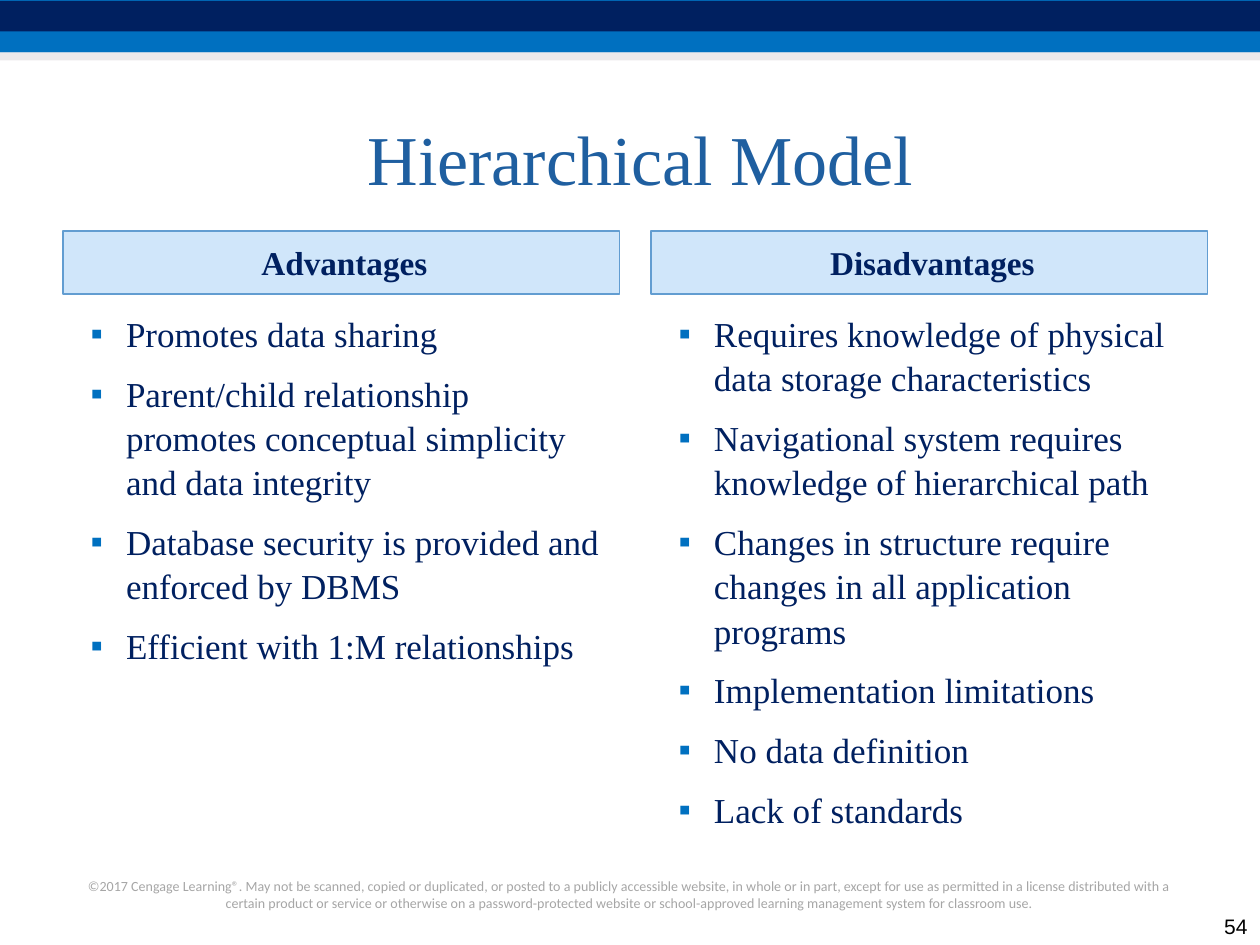
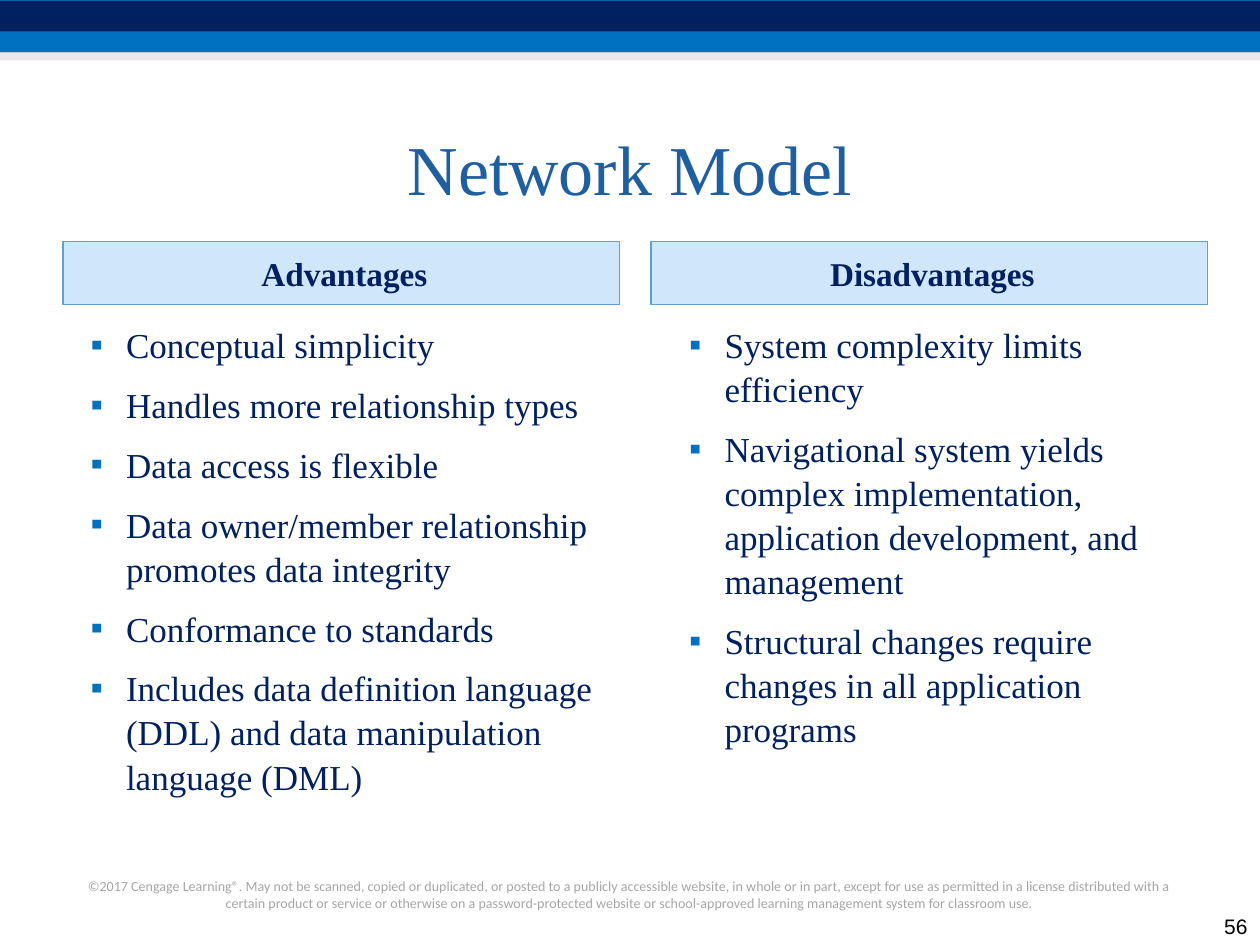
import pptx
import pptx.util
import pptx.dml.color
import pptx.enum.shapes
import pptx.enum.text
import lxml.etree

Pt = pptx.util.Pt
ALIGN = pptx.enum.text.PP_ALIGN
ANCHOR = pptx.enum.text.MSO_ANCHOR
NS = "{http://schemas.openxmlformats.org/drawingml/2006/main}"

NAVY, BLUE, TITLE = "002060", "0070C0", "1F5FA0"
SERIF = "Times New Roman"
LEGAL = ("©2017 Cengage Learning®. May not be scanned, copied or duplicated, or posted to a "
         "publicly accessible website, in whole or in part, except for use as permitted in a "
         "license distributed with a certain product or service or otherwise on a "
         "password-protected website or school-approved learning management system for "
         "classroom use.")

deck = pptx.Presentation()
deck.slide_width = pptx.util.Inches(10)
deck.slide_height = pptx.util.Inches(7.5)
CELL = deck.slide_width / 120  # square grid: 120 columns by 90 rows


def paint(fmt, color, alpha=100):
    """Give a fill a solid colour; alpha is its opacity in percent."""
    fmt.solid()
    fmt.fore_color.rgb = pptx.dml.color.RGBColor.from_string(color)
    if alpha < 100:
        tone = fmt._xPr.find(f"{NS}solidFill/{NS}srgbClr")
        lxml.etree.SubElement(tone, NS + "alpha", val=str(alpha * 1000))


def write(shape, grid, lines, size, color, font=SERIF, align=ALIGN.CENTER,
          anchor=ANCHOR.MIDDLE, bold=False, bullet=False):
    """Move a shape to its grid cells and fill it with one paragraph per line."""
    shape.left, shape.top, shape.width, shape.height = [round(n * CELL) for n in grid]
    frame = shape.text_frame
    frame.word_wrap = True
    frame.auto_size = pptx.enum.text.MSO_AUTO_SIZE.NONE
    frame.vertical_anchor = anchor
    for i, line in enumerate(lines):
        para = frame.paragraphs[0] if i == 0 else frame.add_paragraph()
        para.alignment = align
        para.space_before = Pt(3 if i else 0)
        if bullet:
            para.line_spacing = 1.05
            para.space_after = Pt(6)
            props = para._p.get_or_add_pPr()
            props.set("marL", str(pptx.util.Inches(0.4)))
            props.set("indent", str(pptx.util.Inches(-0.28)))
            tint = lxml.etree.SubElement(props, NS + "buClr")
            lxml.etree.SubElement(tint, NS + "srgbClr", val=BLUE)
            lxml.etree.SubElement(props, NS + "buFont", typeface=SERIF)
            lxml.etree.SubElement(props, NS + "buChar", char="▪")
        run = para.add_run()
        run.text = line
        run.font.name, run.font.size, run.font.bold = font, Pt(size), bold
        paint(run.font.fill, color)


# Top and height in rows, colour, opacity
BANDS = [(0, 5, BLUE, 100), (0.1, 2.9, NAVY, 100), (5, 0.75, "D8D3D9", 50)]
WIDE, LEFT, RIGHT = 53, 6, 62

# Title, page, first column and row of the title, column of the right list, lists
MODELS = [
    ("Hierarchical Model", "54", 6, 8, 62,
     ["Promotes data sharing",
      "Parent/child relationship promotes conceptual simplicity and data integrity",
      "Database security is provided and enforced by DBMS",
      "Efficient with 1:M relationships"],
     ["Requires knowledge of physical data storage characteristics",
      "Navigational system requires knowledge of hierarchical path",
      "Changes in structure require changes in all application programs",
      "Implementation limitations",
      "No data definition",
      "Lack of standards"]),
    ("Network Model", "56", 5, 9, 63,
     ["Conceptual simplicity",
      "Handles more relationship types",
      "Data access is flexible",
      "Data owner/member relationship promotes data integrity",
      "Conformance to standards",
      "Includes data definition language (DDL) and data manipulation language (DML)"],
     ["System complexity limits efficiency",
      "Navigational system yields complex implementation, application development, "
      "and management",
      "Structural changes require changes in all application programs"]),
]

for title, page, col, row, shift, pros, cons in MODELS:
    slide = deck.slides.add_slide(deck.slide_layouts.get_by_name("Comparison"))
    paint(slide.background.fill, "FFFFFF")

    for top, tall, color, alpha in BANDS:
        band = slide.shapes.add_shape(
            pptx.enum.shapes.MSO_SHAPE.RECTANGLE, 0, round(top * CELL),
            deck.slide_width, round(tall * CELL))
        band.shadow.inherit = False
        band.line.fill.background()
        paint(band.fill, color, alpha)

    write(slide.shapes.title, (col, row, 110, 14), [title], 40, TITLE)

    head, body, head_two, body_two = list(slide.placeholders)[1:]
    for box, left, label in [(head, LEFT, "Advantages"), (head_two, RIGHT, "Disadvantages")]:
        write(box, (left, row + 14, WIDE, 6), [label], 19, NAVY, bold=True)
        box.text_frame.paragraphs[0]._p.get_or_add_pPr().set(
            "marL", str(pptx.util.Inches(0.05)))
        paint(box.fill, "469FED", 25)
        paint(box.line.fill, "629DD1")
        box.line.width = Pt(1)
    for box, left, points in [(body, LEFT, pros), (body_two, shift, cons)]:
        write(box, (left, row + 21, WIDE, 51), points, 20, NAVY,
              align=ALIGN.LEFT, anchor=ANCHOR.TOP, bullet=True)

    legal = slide.shapes.add_textbox(0, 0, 0, 0)
    write(legal, (7, 83, 106, 4.5), [LEGAL], 8, "A6A6A6", "Calibri", anchor=ANCHOR.TOP)
    number = slide.shapes.add_textbox(0, 0, 0, 0)
    write(number, (114, 86, 6, 4), [page], 12, "000000", "Arial", ALIGN.RIGHT, ANCHOR.BOTTOM)

deck.save("out.pptx")
